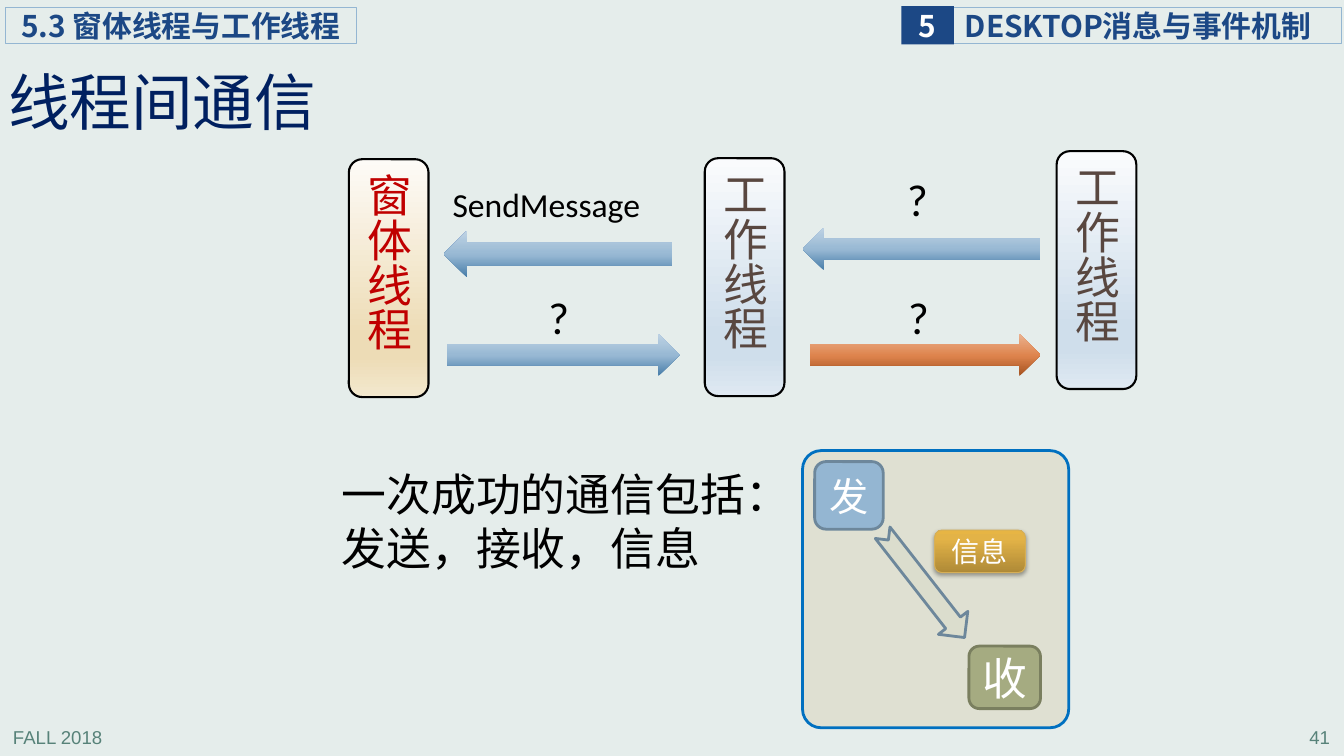
from lxml import etree
from pptx import Presentation
from pptx import util as u
from pptx.dml.color import RGBColor
from pptx.enum import shapes as s, text as t
from pptx.oxml.ns import qn

PAPER = RGBColor(0xE5, 0xED, 0xEB)
NAVY = RGBColor(0x1C, 0x48, 0x85)
TITLE_BLUE = RGBColor(0x00, 0x20, 0x60)
FOOTER_GREEN = RGBColor(0x57, 0x82, 0x79)
SKY = RGBColor(0x94, 0xB6, 0xD2)
SLATE = RGBColor(0x6D, 0x87, 0x9B)
SAGE = RGBColor(0xA5, 0xAB, 0x81)
DARK_SAGE = RGBColor(0x7A, 0x7F, 0x5F)
PALE_SAGE = RGBColor(0xDB, 0xDD, 0xCD)
OCHRE = RGBColor(0xBA, 0x8F, 0x2D)
GOLD = RGBColor(0xD6, 0xAF, 0x57)
BRIGHT_BLUE = RGBColor(0x00, 0x70, 0xC0)
RED = RGBColor(0xC0, 0x00, 0x00)
BROWN = RGBColor(0x59, 0x47, 0x40)
BLACK = RGBColor(0x00, 0x00, 0x00)
WHITE = RGBColor(0xFF, 0xFF, 0xFF)

CREAM_FADE = [(0, "FDFBF7"), (74, "EDDCB6"), (83, "EDDCB6"), (100, "F3E8CE")]
ICE_FADE = [(0, "FAFBFD"), (74, "CFDEEB"), (83, "CFDEEB"), (100, "DFE9F2")]
BLUE_FADE = [(0, "477DA9"), (48, "97B8D3"), (100, "BFD3E4")]
ORANGE_FADE = [(0, "A5521F"), (48, "DE844D"), (100, "EBB391")]
GOLD_FADE = [(0, "AF8A37"), (80, "E3B347"), (100, "E7B544")]

HAN = "Noto Sans CJK SC"
LEFT, CENTER, RIGHT = t.PP_ALIGN.LEFT, t.PP_ALIGN.CENTER, t.PP_ALIGN.RIGHT
SHAPE = s.MSO_SHAPE


def inches(box):
    return [u.Inches(length) for length in box]


def write(holder, words, size, color, font=HAN, align=LEFT, bold=False,
          insets=(0.1, 0.05, 0.1, 0.05), middle=True, wrap=True):
    frame = holder.text_frame
    frame.word_wrap = wrap
    frame.vertical_anchor = t.MSO_ANCHOR.MIDDLE if middle else t.MSO_ANCHOR.TOP
    (frame.margin_left, frame.margin_top,
     frame.margin_right, frame.margin_bottom) = inches(insets)
    line = frame.paragraphs[0]
    line.text = words
    line.alignment = align
    line.font.size = u.Pt(size)
    line.font.bold = bold
    line.font.color.rgb = color
    line.font.name = font
    latin = line._p.find(".//" + qn("a:latin"))
    east_asian = etree.Element(qn("a:ea"), typeface=font)
    latin.addnext(east_asian)
    return line


def label(slide, box, words, size, color, **style):
    holder = slide.shapes.add_textbox(*inches(box))
    return write(holder, words, size, color, **style)


def block(slide, kind, box, fill=None, line=None, width=2):
    part = slide.shapes.add_shape(kind, *inches(box))
    part.shadow.inherit = False
    if fill is None:
        part.fill.background()
    else:
        part.fill.solid()
        part.fill.fore_color.rgb = fill
    if line is None:
        part.line.fill.background()
    else:
        part.line.color.rgb = line
        part.line.width = u.Pt(width)
    return part


def fade(part, stops, angle):
    part.fill.gradient()
    part.fill.gradient_angle = angle
    stop_list = part._element.spPr.find(".//" + qn("a:gsLst"))
    for stop in list(stop_list):
        stop_list.remove(stop)
    for percent, color in stops:
        stop = etree.SubElement(stop_list, qn("a:gs"), pos=str(percent * 1000))
        etree.SubElement(stop, qn("a:srgbClr"), val=color)


def drop_shadow(part):
    effects = part._element.spPr.find(qn("a:effectLst"))
    shadow = etree.SubElement(effects, qn("a:outerShdw"), blurRad=str(u.Pt(3.1)),
                              dist=str(u.Pt(1.8)), dir="5400000", rotWithShape="0")
    color = etree.SubElement(shadow, qn("a:srgbClr"), val="000000")
    etree.SubElement(color, qn("a:alpha"), val="35000")


def header(slide, left, top, width):
    chapter = block(slide, SHAPE.RECTANGLE, (left + width - 3.86, top, 3.86, 0.36),
                    line=SKY, width=0.75)
    write(chapter, "DESKTOP消息与事件机制", 21.3, NAVY, bold=True,
          insets=(0.12, 0, 0, 0), wrap=False)
    number = block(slide, SHAPE.RECTANGLE,
                   (left + width - 4.37, top - 0.01, 0.52, 0.38), NAVY)
    write(number, "5", 21.3, WHITE, bold=True, align=CENTER,
          insets=(0, 0, 0, 0), wrap=False)
    section = block(slide, SHAPE.RECTANGLE, (left, top, 3.49, 0.36),
                    line=SKY, width=0.75)
    write(section, "5.3 窗体线程与工作线程", 21.3, NAVY, bold=True,
          insets=(0.16, 0, 0, 0))


def footer(slide, left, top, width):
    for x, words, align in ((left, "FALL 2018", LEFT),
                            (left + width - 2.78, "41", RIGHT)):
        label(slide, (x, top, 2.78, 0.31), words, 13.3, FOOTER_GREEN,
              font="Arial", align=align)


def heading(slide, box):
    line = label(slide, box, "线程间通信", 44, TITLE_BLUE,
                 insets=(0.08, 0.04, 0.08, 0.04))
    line.line_spacing = 0.9


def thread_diagram(slide, left, top):
    for x, y, words, stops, color in (
            (0, 0.08, "窗体线程", CREAM_FADE, RED),
            (3.53, 0.07, "工作线程", ICE_FADE, BROWN),
            (7.02, 0, "工作线程", ICE_FADE, BROWN)):
        thread = block(slide, SHAPE.ROUNDED_RECTANGLE,
                       (left + x, top + y, 0.79, 2.36), WHITE, BLACK, 1.5)
        fade(thread, stops, 270)
        write(thread, words, 32, color, wrap=False)
        thread.text_frame._txBody.bodyPr.set("vert", "eaVert")

    for kind, x, y, width, height, stops in (
            (SHAPE.LEFT_ARROW, 0.94, 0.79, 2.27, 0.46, BLUE_FADE),
            (SHAPE.RIGHT_ARROW, 0.97, 1.81, 2.31, 0.42, BLUE_FADE),
            (SHAPE.LEFT_ARROW, 4.5, 0.76, 2.36, 0.42, BLUE_FADE),
            (SHAPE.RIGHT_ARROW, 4.57, 1.81, 2.29, 0.42, ORANGE_FADE)):
        arrow = block(slide, kind, (left + x, top + y, width, height))
        fade(arrow, stops, 90)

    label(slide, (left + 0.93, top + 0.28, 2.14, 0.5), "SendMessage", 24, BLACK,
          font="Calibri", middle=False, wrap=False)
    for x, y in ((1.88, 1.33), (5.45, 1.33), (5.44, 0.15)):
        label(slide, (left + x, top + y, 0.37, 0.64), "?", 32, BLACK,
              font="Calibri", middle=False, wrap=False)


def message_panel(slide, left, top, width, height):
    panel = block(slide, SHAPE.ROUNDED_RECTANGLE, (left, top, width, height),
                  OCHRE, BRIGHT_BLUE)
    panel.adjustments[0] = 0.07
    tint = panel._element.spPr.find(qn("a:solidFill")).find(qn("a:srgbClr"))
    etree.SubElement(tint, qn("a:alpha"), val="13000")

    sender = block(slide, SHAPE.ROUNDED_RECTANGLE,
                   (left + 0.12, top + 0.11, 0.68, 0.67), SKY, SLATE)
    write(sender, "发", 28, WHITE, align=CENTER)
    route = block(slide, SHAPE.NOTCHED_RIGHT_ARROW,
                  (left + 0.54, top + 1.15, 1.32, 0.37), PALE_SAGE, SLATE)
    route.rotation = 52
    receiver = block(slide, SHAPE.ROUNDED_RECTANGLE,
                     (left + 1.65, top + 1.94, 0.71, 0.62), SAGE, DARK_SAGE)
    write(receiver, "收", 32, WHITE, align=CENTER)
    message = block(slide, SHAPE.ROUNDED_RECTANGLE,
                    (left + 1.31, top + 0.79, 0.9, 0.42), GOLD, GOLD, 0.75)
    fade(message, GOLD_FADE, 90)
    drop_shadow(message)
    write(message, "信息", 20, WHITE, align=CENTER)


def main():
    deck = Presentation()
    deck.slide_width, deck.slide_height = inches((13.33, 7.5))
    slide = deck.slides.add_slide(deck.slide_layouts[6])
    slide.background.fill.solid()
    slide.background.fill.fore_color.rgb = PAPER

    footer(slide, 0.03, 7.16, 13.26)
    header(slide, 0.05, 0.07, 13.26)
    heading(slide, (0, 0.59, 4.25, 0.91))
    thread_diagram(slide, 3.46, 1.5)
    message_panel(slide, 7.96, 4.47, 2.64, 2.75)
    label(slide, (3.29, 4.58, 4.22, 1.18), "一次成功的通信包括：发送，接收，信息",
          32, BLACK, middle=False)
    deck.save("out.pptx")


if __name__ == "__main__":
    main()
